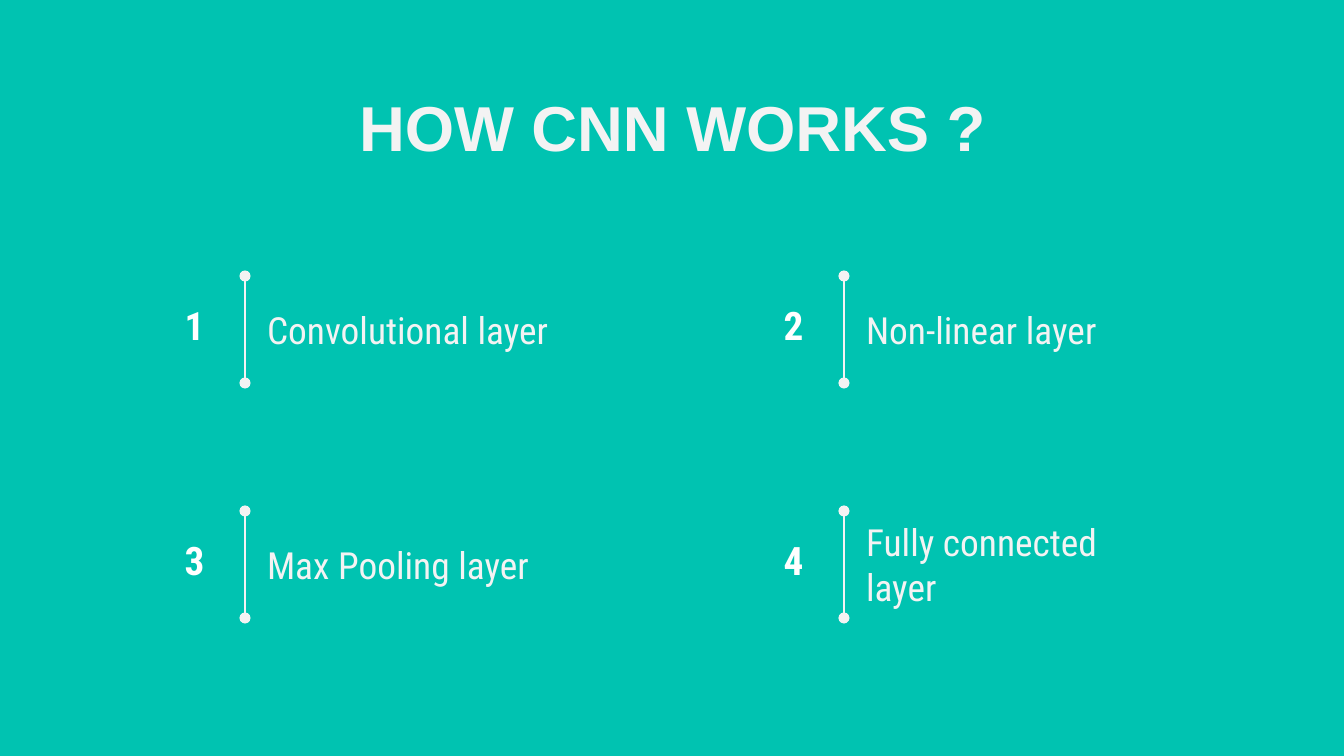
from dataclasses import dataclass

from lxml.etree import SubElement
from pptx import Presentation
from pptx.dml.color import RGBColor
from pptx.enum.shapes import MSO_CONNECTOR
from pptx.enum.text import MSO_ANCHOR, MSO_AUTO_SIZE, PP_ALIGN
from pptx.oxml.ns import qn
from pptx.util import Emu, Pt


@dataclass(frozen=True)
class Theme:
    background: RGBColor = RGBColor(0x00, 0xC3, 0xB1)
    light: RGBColor = RGBColor(0xF3, 0xF3, 0xF3)
    white: RGBColor = RGBColor(0xFF, 0xFF, 0xFF)
    title_font: str = "Arial"
    body_font: str = "Roboto Condensed"
    title_size: int = 34
    body_size: int = 20
    number_size: int = 21
    line_width: float = 1.5


THEME = Theme()
EMU_PER_PX = 9144000 / 1344
COMPARISON_LAYOUT = 4
LAYERS = [
    "Convolutional layer",
    "Non-linear layer",
    "Max Pooling layer",
    "Fully connected layer",
]
COLUMNS = 2
COLUMN_STEP, ROW_STEP = 599, 235


def px(length):
    return Emu(round(length * EMU_PER_PX))


def place(shape, left, top, width, height):
    shape.left, shape.top = px(left), px(top)
    shape.width, shape.height = px(width), px(height)


def write(shape, text, font, size, color, bold=False,
          align=PP_ALIGN.LEFT, anchor=MSO_ANCHOR.TOP):
    """Fill a shape with one unbulleted paragraph."""
    frame = shape.text_frame
    frame.text = text
    frame.word_wrap = True
    frame.auto_size = MSO_AUTO_SIZE.NONE
    frame.vertical_anchor = anchor
    frame.margin_left = frame.margin_right = px(13)
    frame.margin_top = frame.margin_bottom = px(13)
    paragraph = frame.paragraphs[0]
    paragraph.alignment = align
    paragraph.space_before = Pt(0)
    properties = paragraph._p.get_or_add_pPr()
    properties.set("marL", "0")
    properties.set("indent", "0")
    SubElement(properties, qn("a:buNone"))
    paragraph.font.name = font
    paragraph.font.size = Pt(size)
    paragraph.font.bold = bold
    paragraph.font.color.rgb = color


def add_title(slide, text):
    title = slide.shapes.title
    place(title, 106, 75, 1133, 85)
    write(title, text, THEME.title_font, THEME.title_size, THEME.light,
          bold=True, align=PP_ALIGN.CENTER)


def add_divider(slide, x, top, bottom):
    """Draw a vertical line with a dot at each end."""
    divider = slide.shapes.add_connector(
        MSO_CONNECTOR.STRAIGHT, px(x), px(top), px(x), px(bottom))
    divider.line.color.rgb = THEME.light
    divider.line.width = Pt(THEME.line_width)
    line = divider.line._get_or_add_ln()
    for end in ("a:headEnd", "a:tailEnd"):
        SubElement(line, qn(end), type="oval")
    SubElement(divider._element.spPr, qn("a:effectLst"))


def add_number(slide, number, left, top):
    box = slide.shapes.add_textbox(px(left), px(top), px(85), px(85))
    write(box, str(number), THEME.body_font, THEME.number_size, THEME.white,
          bold=True, align=PP_ALIGN.CENTER)


def add_layer(slide, index, name):
    row, column = divmod(index, COLUMNS)
    x, y = column * COLUMN_STEP, row * ROW_STEP
    label = slide.placeholders[index + 1]
    place(label, 254 + x, 278 + y, 325, 103)
    write(label, name, THEME.body_font, THEME.body_size, THEME.light,
          anchor=MSO_ANCHOR.MIDDLE)
    add_divider(slide, 245 + x, 276 + y, 383 + y)
    add_number(slide, index + 1, 152 + x, 288 + y)


def main():
    presentation = Presentation()
    presentation.slide_width, presentation.slide_height = px(1344), px(756)
    layout = presentation.slide_layouts[COMPARISON_LAYOUT]
    slide = presentation.slides.add_slide(layout)
    fill = slide.background.fill
    fill.solid()
    fill.fore_color.rgb = THEME.background
    add_title(slide, "HOW CNN WORKS ?")
    for index, name in enumerate(LAYERS):
        add_layer(slide, index, name)
    presentation.save("out.pptx")


if __name__ == "__main__":
    main()
